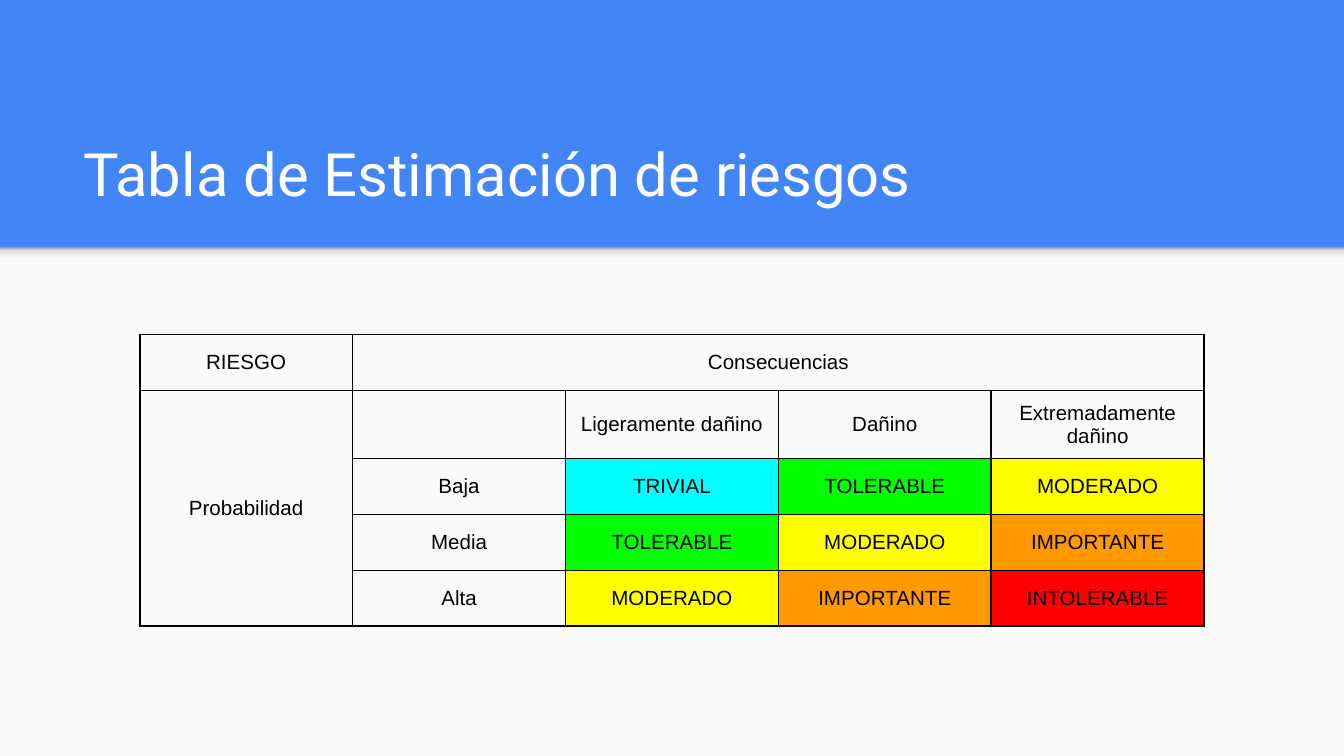
from copy import deepcopy

from lxml.etree import SubElement
from pptx import Presentation
from pptx.dml.color import RGBColor
from pptx.enum.shapes import MSO_SHAPE
from pptx.enum.text import MSO_ANCHOR, PP_ALIGN
from pptx.oxml.ns import qn
from pptx.util import Inches, Pt

TITLE = "Tabla de Estimación de riesgos"
ROWS = [
    ["RIESGO", "Consecuencias", "", "", ""],
    ["Probabilidad", "", "Ligeramente dañino", "Dañino", "Extremadamente dañino"],
    ["", "Baja", "TRIVIAL", "TOLERABLE", "MODERADO"],
    ["", "Media", "TOLERABLE", "MODERADO", "IMPORTANTE"],
    ["", "Alta", "MODERADO", "IMPORTANTE", "INTOLERABLE"],
]
MERGES = [((0, 1), (0, 4)), ((1, 0), (4, 0))]
COLORS = {"banner": "4285F4", "body": "FAFAFA", "title": "FFFFFF", "ink": "000000"}
RISK_COLORS = {
    "TRIVIAL": "00FFFF",
    "TOLERABLE": "00FF00",
    "MODERADO": "FFFF00",
    "IMPORTANTE": "FF9900",
    "INTOLERABLE": "FF0000",
}
SHADOW_STOPS = [(0, "F9F9F9"), (0.36, "F9F9F9"), (0.8, "DEDEDE"), (1, "999999")]
WIDTH = 10
HEIGHT = WIDTH * 9 / 16
BANNER = 1.84
TABLE_TOP, TABLE_WIDTH, TABLE_HEIGHT, FRAME_SIDE = 2.49, 7.92, 2.08, 3.28
SIDES = ("left", "top", "right", "bottom")


def rgb(value):
    return RGBColor.from_string(value)


def add_band(page, height):
    band = page.shapes.add_shape(
        MSO_SHAPE.RECTANGLE, 0, Inches(BANNER), Inches(WIDTH), Inches(height)
    )
    band.shadow.inherit = False
    band.line.fill.background()
    return band


def fill_shadow(band):
    band.fill.gradient()
    band.fill.gradient_angle = 90
    stop_list = next(band._element.iter(qn("a:gsLst")))
    for _ in SHADOW_STOPS[2:]:
        stop_list.append(deepcopy(stop_list[0]))
    for stop, (position, color) in zip(band.fill.gradient_stops, SHADOW_STOPS):
        stop.position = position
        stop.color.rgb = rgb(color)


def set_margins(target, inches):
    for side in SIDES:
        setattr(target, f"margin_{side}", Inches(inches))


def format_run(span, font, size, color):
    span.font.name = font
    span.font.size = Pt(size)
    span.font.color.rgb = rgb(color)


def add_title(page):
    box = page.shapes.add_textbox(Inches(0.52), Inches(0.81), Inches(8.99), Inches(0.84))
    frame = box.text_frame
    frame.word_wrap = True
    frame.vertical_anchor = MSO_ANCHOR.BOTTOM
    set_margins(frame, 0.1)
    frame.text = TITLE
    format_run(frame.paragraphs[0].runs[0], "Roboto", 32, COLORS["title"])


def add_borders(cell):
    properties = cell._tc.get_or_add_tcPr()
    for side in ("L", "R", "T", "B"):
        line = SubElement(properties, qn(f"a:ln{side}"), w=str(Pt(1)))
        fill = SubElement(line, qn("a:solidFill"))
        SubElement(fill, qn("a:srgbClr"), val=COLORS["ink"])


def format_cell(cell, text):
    add_borders(cell)
    if text in RISK_COLORS:
        cell.fill.solid()
        cell.fill.fore_color.rgb = rgb(RISK_COLORS[text])
    else:
        cell.fill.background()
    set_margins(cell, 0.07)
    cell.vertical_anchor = MSO_ANCHOR.MIDDLE
    cell.text_frame.text = text
    para = cell.text_frame.paragraphs[0]
    para.alignment = PP_ALIGN.CENTER
    for span in para.runs:
        format_run(span, "Arial", 11, COLORS["ink"])
    if not text:
        SubElement(para._p, qn("a:endParaRPr"), sz="1100")


def add_risk_table(page):
    columns = len(ROWS[0])
    frame = page.shapes.add_table(
        len(ROWS),
        columns,
        Inches((WIDTH - TABLE_WIDTH) / 2),
        Inches(TABLE_TOP),
        Inches(TABLE_WIDTH),
        Inches(TABLE_HEIGHT),
    )
    table = frame.table
    table.first_row = False
    table.horz_banding = False
    for r, row in enumerate(ROWS):
        for c, text in enumerate(row):
            format_cell(table.cell(r, c), text)
    for start, end in MERGES:
        table.cell(*start).merge(table.cell(*end))
    frame.width = frame.height = Inches(FRAME_SIDE)


def main():
    """Build the risk estimation slide."""
    deck = Presentation()
    deck.slide_width, deck.slide_height = Inches(WIDTH), Inches(HEIGHT)
    page = deck.slides.add_slide(deck.slide_layouts[6])
    page.background.fill.solid()
    page.background.fill.fore_color.rgb = rgb(COLORS["banner"])
    body = add_band(page, HEIGHT - BANNER)
    body.fill.solid()
    body.fill.fore_color.rgb = rgb(COLORS["body"])
    fill_shadow(add_band(page, 0.12))
    add_title(page)
    add_risk_table(page)
    deck.save("out.pptx")


if __name__ == "__main__":
    main()
